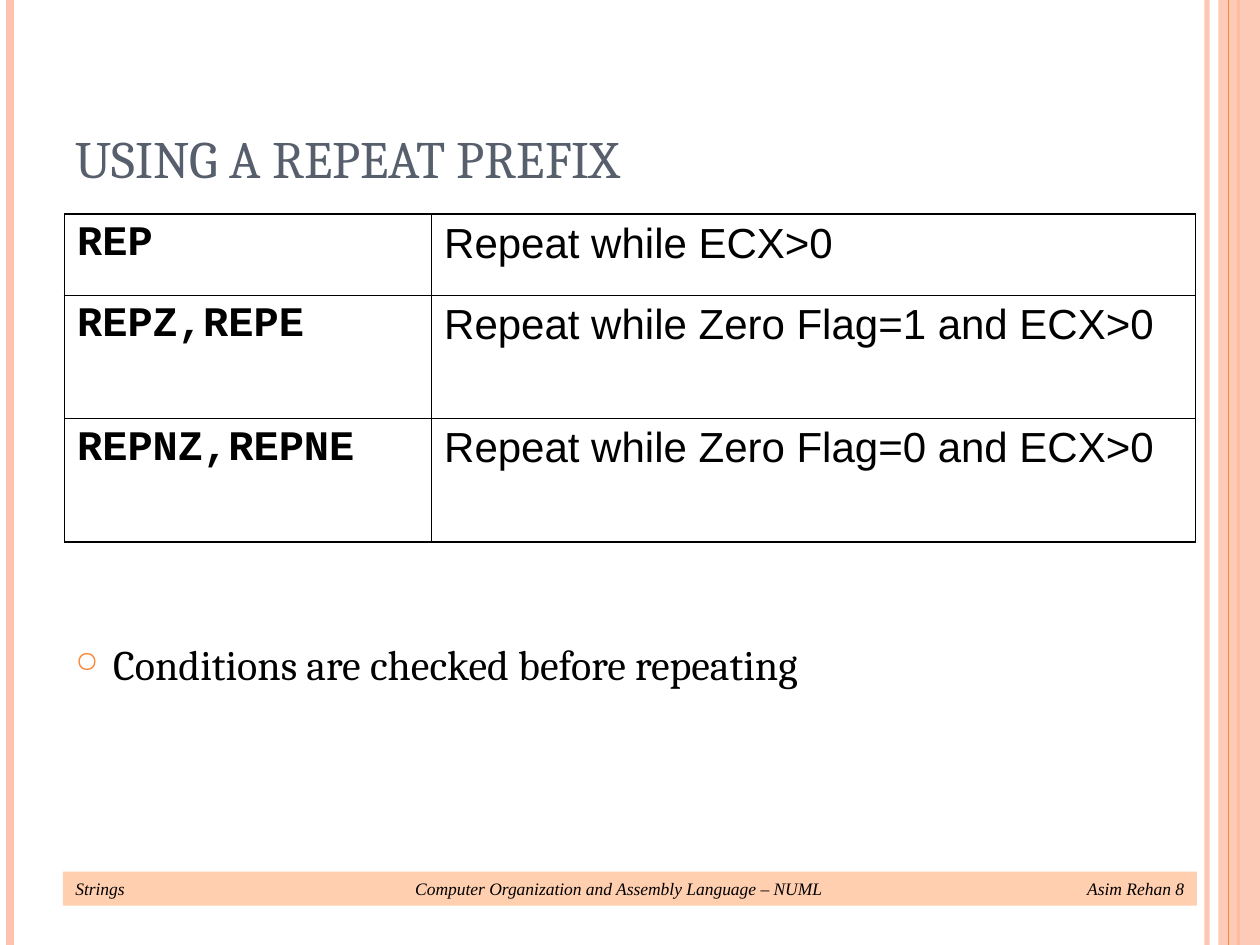
"""Build the slide on repeat prefixes with a table, a bullet and a footer band."""
from lxml.etree import SubElement
from pptx import Presentation
from pptx.dml.color import RGBColor
from pptx.enum.shapes import MSO_CONNECTOR, MSO_SHAPE
from pptx.enum.text import MSO_ANCHOR, MSO_AUTO_SIZE, PP_ALIGN
from pptx.oxml import parse_xml
from pptx.oxml.ns import nsdecls, qn
from pptx.util import Cm, Pt

COLORS = {name: RGBColor.from_string(value) for name, value in {
    "pink": "FEC3AE", "orange": "FE8637", "peach": "FFCFAF",
    "slate": "575F6D", "black": "000000"}.items()}


def write(tf, text, color, anchor=MSO_ANCHOR.TOP, **font):
    for key, value in {"word_wrap": True, "vertical_anchor": anchor,
                       "auto_size": MSO_AUTO_SIZE.NONE}.items():
        setattr(tf, key, value)
    p = tf.paragraphs[0]
    p.alignment = PP_ALIGN.LEFT
    r = p.add_run()
    r.text = text
    r.font.color.rgb = COLORS[color]
    for key, value in font.items():
        setattr(r.font, key, value)
    return p


def set_alpha(fill_parent, percent):
    color = next(fill_parent.iter(qn("a:srgbClr")))
    SubElement(color, qn("a:alpha")).set("val", str(percent * 1000))


prs = Presentation()
prs.slide_width, prs.slide_height = Cm(25.4), Cm(19.05)
s = prs.slides.add_slide(prs.slide_layouts[5])

strip = s.shapes.add_shape(MSO_SHAPE.RECTANGLE, Cm(24.56), 0, Cm(0.84), prs.slide_height)
footer = s.shapes.add_shape(MSO_SHAPE.RECTANGLE, Cm(1.27), Cm(17.57), Cm(22.86), Cm(0.69))
for sp, color in ((strip, "pink"), (footer, "peach")):
    sp.shadow.inherit = False
    sp.fill.solid()
    sp.fill.fore_color.rgb = COLORS[color]
    sp.line.fill.background()
set_alpha(strip.fill._xPr, 87)

for x, color, width, alpha in ((24.33, "pink", 3, 93), (0.2, "pink", 4.5, 100),
                               (24.97, "orange", 1.5, 100), (24.77, "orange", 0.75, 100)):
    line = s.shapes.add_connector(MSO_CONNECTOR.STRAIGHT, Cm(x), 0, Cm(x), prs.slide_height)
    line.line.color.rgb = COLORS[color]
    line.line.width = Pt(width)
    if alpha < 100:
        set_alpha(line.line._ln, alpha)
    SubElement(line._element.spPr, qn("a:effectLst"))
    if x == 24.97:
        strip._element.addprevious(line._element)

p = write(footer.text_frame,
          "Strings\tComputer Organization and Assembly Language – NUML\tAsim Rehan 8",
          "black", MSO_ANCHOR.MIDDLE, name="Times New Roman", size=Pt(10), italic=True)
tabs = SubElement(p._p.get_or_add_pPr(), qn("a:tabLst"))
for pos, align in ((10.95, "ctr"), (22.35, "r")):
    tab = SubElement(tabs, qn("a:tab"))
    tab.set("pos", str(Cm(pos)))
    tab.set("algn", align)

title = s.shapes.title
title.left, title.top, title.width, title.height = Cm(1.27), Cm(0.76), Cm(20.75), Cm(3.18)
write(title.text_frame, "USING A REPEAT PREFIX", "slate", MSO_ANCHOR.BOTTOM,
      name="Cambria", size=Pt(30))

rows = [("REP", "Repeat while ECX>0"),
        ("REPZ,REPE", "Repeat while Zero Flag=1 and ECX>0"),
        ("REPNZ,REPNE", "Repeat while Zero Flag=0 and ECX>0")]
table = s.shapes.add_table(3, 2, Cm(1.3), Cm(4.32), Cm(22.8), Cm(6.61)).table
table.first_row = table.horz_banding = False
for column, width in zip(table.columns, (7.4, 15.4)):
    column.width = Cm(width)
for row, height in zip(table.rows, (1.63, 2.49, 2.49)):
    row.height = Cm(height)
for i, texts in enumerate(rows):
    for j, text in enumerate(texts):
        cell = table.cell(i, j)
        cell.fill.background()
        write(cell.text_frame, text, "black", size=Pt(24), bold=j == 0,
              name=("Courier New", "Arial")[j])
        outer = {"L": j == 0, "R": j == 1, "T": i == 0, "B": i == 2}
        for n, (side, is_outer) in enumerate(outer.items()):
            width = Pt(1.08 if is_outer else 0.45)
            cell._tc.get_or_add_tcPr().insert(n, parse_xml(
                f'<a:ln{side} {nsdecls("a")} w="{width}"><a:solidFill>'
                f'<a:srgbClr val="{COLORS["black"]}"/></a:solidFill></a:ln{side}>'))

body = s.shapes.add_textbox(Cm(1.27), Cm(12.75), Cm(22.81), Cm(2.49))
p = write(body.text_frame, "Conditions are checked before repeating", "black",
          name="Cambria", size=Pt(24))
pPr = p._p.get_or_add_pPr()
pPr.set("marL", str(Cm(0.76)))
pPr.set("indent", str(Cm(-0.76)))
bullet_color = SubElement(pPr, qn("a:buClr"))
SubElement(bullet_color, qn("a:srgbClr")).set("val", str(COLORS["orange"]))
SubElement(pPr, qn("a:buSzPct")).set("val", "70000")
SubElement(pPr, qn("a:buChar")).set("char", "○")

prs.save("out.pptx")
